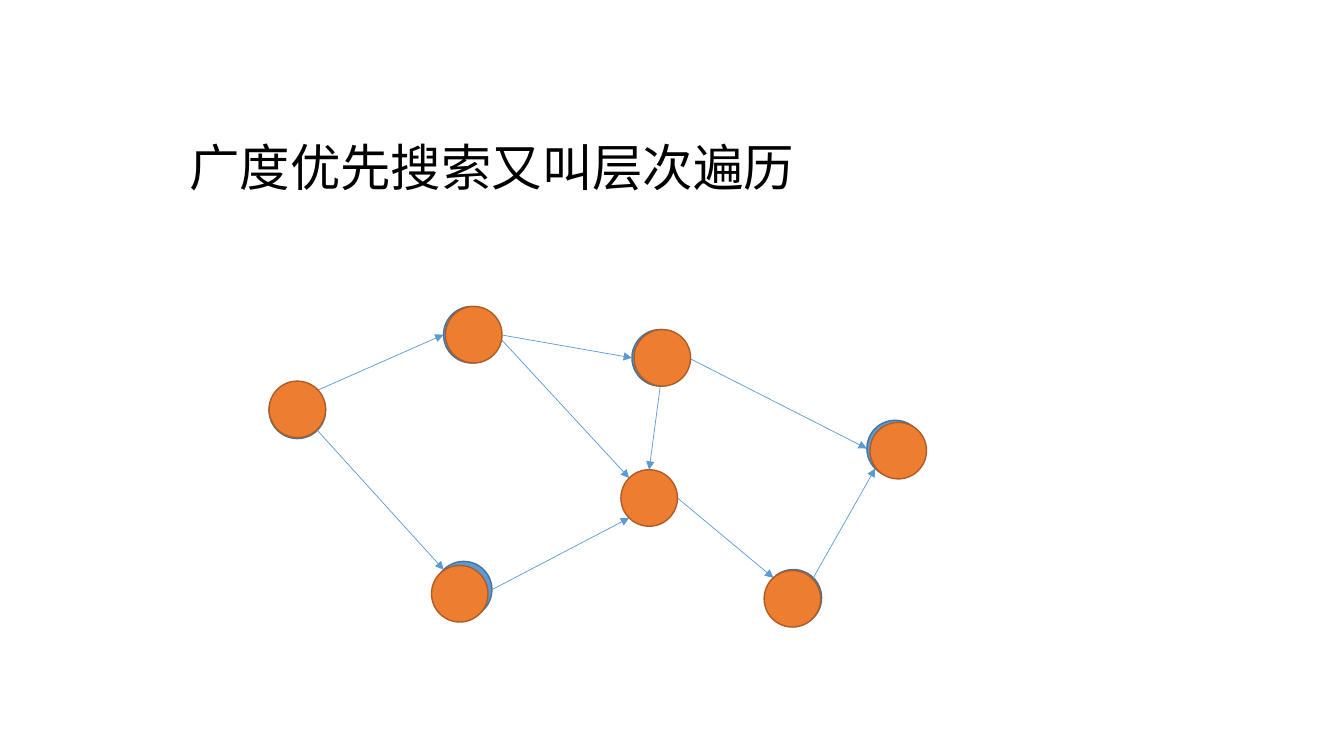
from lxml import etree
from pptx import Presentation
from pptx.dml.color import RGBColor
from pptx.enum.shapes import MSO_CONNECTOR, MSO_SHAPE
from pptx.oxml.ns import qn
from pptx.util import Pt

STRAIGHT = MSO_CONNECTOR.STRAIGHT
OVAL = MSO_SHAPE.OVAL
FONT = "Noto Sans CJK SC"
DIAMETER = 40.4
RADIUS = DIAMETER / 2
DIAGONAL = 0.707

prs = Presentation()
prs.slide_width, prs.slide_height = Pt(960), Pt(540)
slide = prs.slides.add_slide(prs.slide_layouts[6])


def add_text(text, left, top, width, height, size, color):
    frame = slide.shapes.add_textbox(Pt(left), Pt(top), Pt(width), Pt(height)).text_frame
    frame.word_wrap = True
    run = frame.paragraphs[0].add_run()
    run.text = text
    run.font.size = Pt(size)
    run.font.name = FONT
    run.font.color.rgb = RGBColor.from_string(color)
    etree.SubElement(run.font._element, qn("a:ea"), typeface=FONT)


def add_node(left, top, fill, outline):
    node = slide.shapes.add_shape(OVAL, Pt(left), Pt(top), Pt(DIAMETER), Pt(DIAMETER))
    node.shadow.inherit = False
    node.fill.solid()
    node.fill.fore_color.rgb = RGBColor.from_string(fill)
    node.line.color.rgb = RGBColor.from_string(outline)
    node.line.width = Pt(1)


add_text("广度优先搜索又叫层次遍历", 128.2, 93.6, 686.9, 181.4, size=36, color="000000")

# Left and top of each graph node; E is drawn only as visited
nodes = {
    "A": (192.2, 272.9),
    "C": (311, 401),
    "B": (316.8, 218.9),
    "G": (546.5, 406.8),
    "D": (451.4, 235.4),
    "F": (619.2, 300.2),
    "E": (443.5, 335.5),
}
for name, (left, top) in nodes.items():
    if name != "E":
        add_node(left, top, "5B9BD5", "43739E")

# Points on a node's rim, in radii from its centre
rim = {
    "left": (-1, 0),
    "right": (1, 0),
    "top": (0, -1),
    "bottom": (0, 1),
    "top left": (-DIAGONAL, -DIAGONAL),
    "top right": (DIAGONAL, -DIAGONAL),
    "bottom left": (-DIAGONAL, DIAGONAL),
    "bottom right": (DIAGONAL, DIAGONAL),
    "below right": (1, 0.12),
}
edges = [
    ("A", "top right", "B", "left"),
    ("A", "bottom right", "C", "top left"),
    ("B", "right", "D", "left"),
    ("B", "below right", "E", "top left"),
    ("D", "right", "F", "left"),
    ("D", "bottom", "E", "top"),
    ("C", "right", "E", "bottom left"),
    ("E", "right", "G", "top left"),
    ("G", "top right", "F", "bottom left"),
]
for start, start_side, end, end_side in edges:
    ends = []
    for name, side in ((start, start_side), (end, end_side)):
        for corner, offset in zip(nodes[name], rim[side]):
            ends.append(Pt(corner + RADIUS * (1 + offset)))
    arrow = slide.shapes.add_connector(STRAIGHT, *ends)
    arrow.line.color.rgb = RGBColor.from_string("5B9BD5")
    arrow.line.width = Pt(0.5)
    etree.SubElement(arrow.line._get_or_add_ln(), qn("a:tailEnd"), type="triangle")
    etree.SubElement(arrow._element.spPr, qn("a:effectLst"))

# Visited nodes in orange, slightly offset from the nodes they cover
visited = [
    (192.2, 272.2),
    (318.2, 218.9),
    (452.9, 235.4),
    (621.4, 301.7),
    nodes["E"],
    (545.8, 407.5),
    (308.2, 403.9),
]
for left, top in visited:
    add_node(left, top, "ED7D31", "AF5C24")

prs.save("out.pptx")
